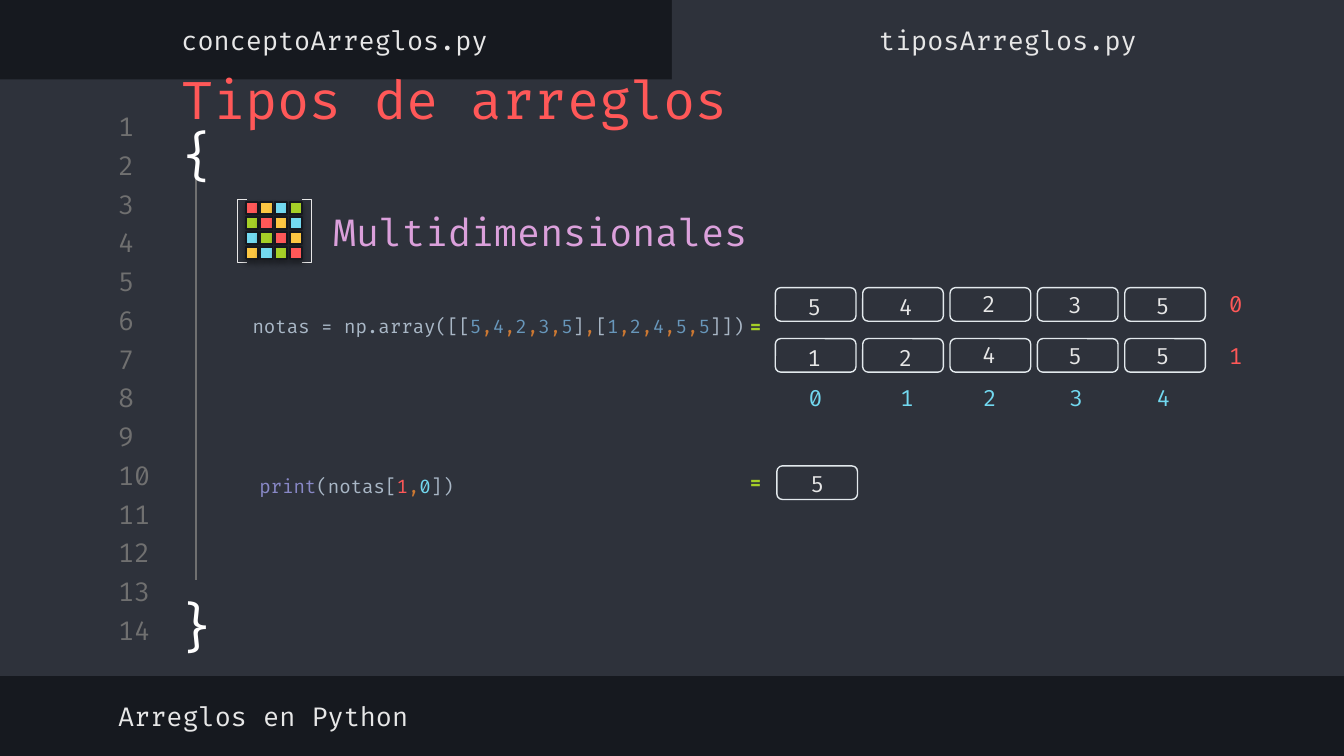
from lxml.etree import SubElement
from pptx import Presentation
from pptx.dml.color import RGBColor
from pptx.enum.shapes import MSO_CONNECTOR, MSO_SHAPE
from pptx.enum.text import MSO_ANCHOR, MSO_AUTO_SIZE, PP_ALIGN
from pptx.oxml.ns import qn
from pptx.util import Pt

FONT = "Fira Code"
COLORS = {
    "dark": "16191F", "panel": "2E323B", "gray": "707070", "light": "E7E7E7",
    "white": "FFFFFF", "red": "FF5858", "yellow": "FCC642", "cyan": "72D9F0",
    "green": "A5CF27", "pink": "DBA0DB", "cell": "E3E9ED", "code": "A9B7C6",
    "number": "6897BB", "comma": "CC7832", "builtin": "8888C6", "black": "000000",
}
CELL_LEFT, CELL_STEP = 415.4, 46.8
VALUE_LEFTS = [425.5, 474.5, 519.1, 565.2, 612]
VALUE_SHIFTS = [0, 0, -1.4, -1, -0.7]


def color(name):
    return RGBColor.from_string(COLORS[name])


def set_format(target, values):
    for name, value in values.items():
        setattr(target, name, value)


def write_runs(paragraph, runs, size, bold=None):
    for text, color_name in runs:
        run = paragraph.add_run()
        run.text = text
        set_format(run.font, {"name": FONT, "size": Pt(size), "bold": bold})
        run.font.color.rgb = color(color_name)


def format_frame(frame, anchor, inset):
    set_format(frame, {
        "word_wrap": True, "auto_size": MSO_AUTO_SIZE.NONE, "vertical_anchor": anchor,
        "margin_left": Pt(7.2), "margin_right": Pt(7.2),
        "margin_top": Pt(inset), "margin_bottom": Pt(inset),
    })


def add_text(slide, box, runs, size, align=PP_ALIGN.LEFT,
             anchor=MSO_ANCHOR.MIDDLE, inset=7.2, bold=None):
    shape = slide.shapes.add_textbox(*map(Pt, box))
    format_frame(shape.text_frame, anchor, inset)
    paragraph = shape.text_frame.paragraphs[0]
    paragraph.alignment = align
    write_runs(paragraph, runs, size, bold)


def add_box(slide, kind, box, fill=None, line=None, width=0.75):
    shape = slide.shapes.add_shape(kind, *map(Pt, box))
    shape.shadow.inherit = False
    if fill:
        shape.fill.solid()
        shape.fill.fore_color.rgb = color(fill)
    else:
        shape.fill.background()
    if line:
        shape.line.color.rgb = color(line)
        shape.line.width = Pt(width)
    else:
        shape.line.fill.background()
    return shape


def add_soft_shadow(shape):
    effects = shape._element.spPr.find(qn("a:effectLst"))
    shadow = SubElement(effects, qn("a:outerShdw"), blurRad=str(Pt(3.1)),
                        dist=str(Pt(1.6)), dir="5400000", rotWithShape="0")
    tint = SubElement(shadow, qn("a:srgbClr"), val=COLORS["black"])
    SubElement(tint, qn("a:alpha"), val="38000")


def add_title(slide):
    title = slide.shapes.title
    # Bring the title in front of the panels
    slide.shapes._spTree.append(title._element)
    set_format(title, {"left": Pt(90), "top": Pt(49), "width": Pt(334.8), "height": Pt(41.8)})
    format_frame(title.text_frame, MSO_ANCHOR.MIDDLE, 7.2)
    paragraph = title.text_frame.paragraphs[0]
    set_format(paragraph, {"alignment": PP_ALIGN.LEFT, "line_spacing": 0.9})
    write_runs(paragraph, [("Tipos de arreglos", "red")], 28)
    paragraph.add_line_break()
    write_runs(paragraph, [("{", "white")], 28)


def add_editor(slide):
    # Panels, line numbers and tabs
    for box in [(0, 42.5, 720, 319.7), (360, 0, 360, 46.8)]:
        add_box(slide, MSO_SHAPE.RECTANGLE, box, "panel")
    for index in range(14):
        add_text(slide, (56.2, 59 + 20.75 * index, 33.8, 17.3), [(str(index + 1), "gray")], 14)
    add_text(slide, (56.2, 369.4, 383, 28.1), [("Arreglos en Python", "light")], 14)
    for left, name in [(-0.7, "conceptoArreglos.py"), (360, "tiposArreglos.py")]:
        add_text(slide, (left, 7.2, 360, 28.1), [(name, "light")], 14, PP_ALIGN.CENTER)

    # Closing brace and block guide
    add_text(slide, (85.7, 311, 39.6, 48.2), [("}", "white")], 28,
             PP_ALIGN.CENTER, MSO_ANCHOR.TOP)
    guide = slide.shapes.add_connector(
        MSO_CONNECTOR.STRAIGHT, Pt(105.1), Pt(95), Pt(105.1), Pt(311))
    guide.line.color.rgb = color("gray")
    guide.line.width = Pt(0.75)
    SubElement(guide._element.spPr, qn("a:effectLst"))


def add_matrix_icon(slide):
    for kind, left in [(MSO_SHAPE.LEFT_BRACKET, 127.2), (MSO_SHAPE.RIGHT_BRACKET, 162)]:
        bracket = add_box(slide, kind, (left, 107, 5, 33.8), line="light")
        bracket.adjustments[0] = 0
    palette = ["red", "yellow", "cyan", "green"]
    for row in range(4):
        for column in range(4):
            square = add_box(slide, MSO_SHAPE.RECTANGLE,
                             (131.6 + 7.9 * column, 108.2 + 8.1 * row, 6.5, 6.5),
                             palette[(column - row) % 4], "dark", 1)
            add_soft_shadow(square)


def add_cell(slide, left, top):
    add_box(slide, MSO_SHAPE.FLOWCHART_ALTERNATE_PROCESS, (left, top, 43.2, 18), line="cell")


def add_value(slide, left, top, value):
    add_text(slide, (left, top, 47.5, 21.8), [(value, "light")], 12,
             anchor=MSO_ANCHOR.TOP, inset=3.6)


def add_index(slide, left, top, index, color_name):
    add_text(slide, (left, top, 49.7, 13.7), [(str(index), color_name)], 12, PP_ALIGN.CENTER)


def add_array(slide, rows):
    for row, values in enumerate(rows):
        top = 154.1 + 27.3 * row
        for column, value in enumerate(values):
            add_cell(slide, CELL_LEFT + CELL_STEP * column, top)
            add_value(slide, VALUE_LEFTS[column], top - 0.7 + VALUE_SHIFTS[column], value)
        add_index(slide, 637.2, 155.5 + 28.1 * row, row, "red")
    for column, left in enumerate(VALUE_LEFTS):
        add_index(slide, left - 13.5, 206, column, "cyan")


def number_runs(values):
    runs = []
    for value in values:
        runs += [(",", "comma"), (value, "number")]
    return runs[1:]


def add_code(slide, rows):
    declaration = [("notas = np.array([[", "code"), *number_runs(rows[0]),
                   ("]", "code"), (",", "comma"), ("[", "code"),
                   *number_runs(rows[1]), ("]])", "code")]
    call = [("print", "builtin"), ("(notas[", "code"), ("1", "red"),
            (",", "comma"), ("0", "cyan"), ("])", "code")]
    for box, runs in [((128.2, 164.9, 279.4, 19.4), declaration),
                      ((131.8, 250.6, 121.7, 19.4), call)]:
        add_text(slide, box, runs, 10, inset=3.6)
    for top in (164.9, 248.7):
        add_text(slide, (394.6, top, 16.6, 19.4), [("=", "green")], 10, inset=3.6, bold=True)


def main():
    presentation = Presentation()
    set_format(presentation, {"slide_width": Pt(720), "slide_height": Pt(405)})
    slide = presentation.slides.add_slide(presentation.slide_layouts[5])
    slide.background.fill.solid()
    slide.background.fill.fore_color.rgb = color("dark")

    rows = ["54235", "12455"]
    add_editor(slide)
    add_title(slide)
    add_matrix_icon(slide)
    add_text(slide, (171.4, 108, 360, 31.7), [("Multidimensionales", "pink")], 20)
    add_code(slide, rows)
    add_array(slide, rows)

    # Printed result
    add_cell(slide, 416.2, 249.6)
    add_value(slide, 427, 248.4, "5")
    presentation.save("out.pptx")


main()
